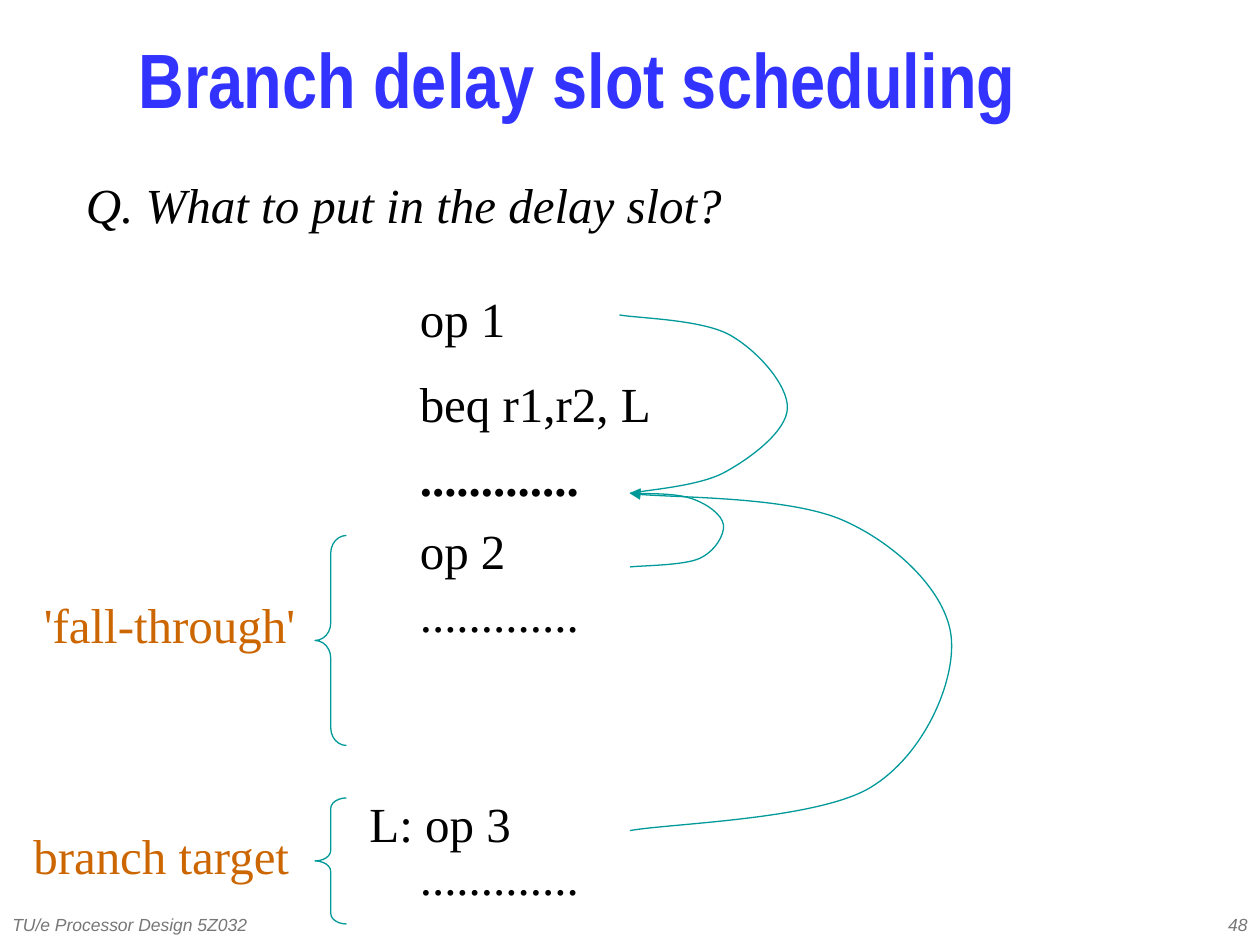
from pptx import Presentation
from pptx.dml.color import RGBColor
from pptx.enum.shapes import MSO_SHAPE
from pptx.enum.text import MSO_ANCHOR, MSO_AUTO_SIZE, PP_ALIGN
from pptx.oxml import parse_xml
from pptx.oxml.ns import nsdecls
from pptx.util import Inches, Pt

CELL = Inches(1) / 12
COLUMNS, ROWS = 120, 90
SERIF = "Times New Roman"
BLUE, BLACK, ORANGE, TEAL, GREY = "3333FF", "010000", "CC6600", "009999", "777777"


def cells(*counts):
    """Turn counts of grid cells into lengths."""
    return [round(count * CELL) for count in counts]


def color(value):
    """Turn a hex string into a colour."""
    return RGBColor.from_string(value)


def write(frame, text, size, name, value, bold=False, italic=False):
    """Add one formatted run to the first paragraph of a frame."""
    para = frame.paragraphs[0]
    span = para.add_run()
    span.text = text
    font = span.font
    font.size, font.name, font.bold, font.italic = Pt(size), name, bold, italic
    font.color.rgb = color(value)
    return para


def label(page, box, text, value=BLACK, bold=False, italic=False):
    """Place one unwrapped line of serif text."""
    frame = page.shapes.add_textbox(*cells(*box)).text_frame
    frame.word_wrap = False
    frame.auto_size = MSO_AUTO_SIZE.SHAPE_TO_FIT_TEXT
    write(frame, text, 28, SERIF, value, bold, italic)


def heading(page, box):
    """Place and format the title placeholder."""
    title = page.shapes.title
    title.left, title.top, title.width, title.height = cells(*box)
    frame = title.text_frame
    frame.auto_size = MSO_AUTO_SIZE.NONE
    frame.vertical_anchor = MSO_ANCHOR.MIDDLE
    para = write(frame, "Branch delay slot scheduling", 44, "Arial Narrow", BLUE, bold=True)
    para.alignment = PP_ALIGN.LEFT
    para.line_spacing = 0.7


def listing(page, box):
    """Place the code lines by their row within the box."""
    left, top, _, _ = box
    dots = "............."
    lines = [
        (0, 0, 10.7, "op 1", False),
        (0, 8.1, 24.5, "beq r1,r2, L", False),
        (0, 15.1, 17.7, dots, True),
        (0, 22.1, 10.7, "op 2", False),
        (0, 28.1, 17.7, dots, False),
        (-4.8, 48.1, 16, "L: op 3", False),
        (0, 53.1, 17.7, dots, False),
    ]
    for indent, row, width, text, bold in lines:
        label(page, (left + indent, top + row, width, 6.8), text, bold=bold)


def outline(shape):
    """Give a shape a thin teal line, no fill and no shadow."""
    shape.shadow.inherit = False
    shape.fill.background()
    shape.line.color.rgb = color(TEAL)
    shape.line.width = Pt(0.75)


def brace(page, box):
    """Draw a left brace whose bends are a twelfth of its height."""
    _, _, width, height = box
    shape = page.shapes.add_shape(MSO_SHAPE.LEFT_BRACE, *cells(*box))
    shape.adjustments[0] = height / 12 / width
    outline(shape)


def spline(points):
    """Return the Bezier points of a smooth curve through all points."""
    padded = [points[0], *points, points[-1]]
    result = []
    for before, start, end, after in zip(padded, padded[1:], padded[2:], padded[3:]):
        result.append([a + (b - c) / 6 for a, b, c in zip(start, end, before)])
        result.append([a - (b - c) / 6 for a, b, c in zip(end, after, start)])
        result.append(end)
    return result


def curve(page, origin, points, arrow):
    """Draw a smooth curve through points given relative to an origin."""
    placed = [(origin[0] + x, origin[1] + y) for x, y in points]
    builder = page.shapes.build_freeform(*cells(*placed[0]))
    builder.add_line_segments([cells(*point) for point in spline(placed)], close=False)
    shape = builder.convert_to_shape()
    outline(shape)
    segments = shape.element.xpath(".//a:lnTo")
    for index in range(0, len(segments), 3):
        bend = parse_xml(f"<a:cubicBezTo {nsdecls('a')}/>")
        segments[index].addprevious(bend)
        for segment in segments[index:index + 3]:
            bend.append(segment[0])
            segment.getparent().remove(segment)
    if arrow:
        line = shape.element.xpath("./p:spPr/a:ln")[0]
        line.append(parse_xml(f'<a:tailEnd {nsdecls("a")} type="triangle"/>'))


def candidates(page, slot):
    """Draw the curves from each candidate operation to the delay slot."""
    curve(page, slot, [(0, 7), (6.6, 6.2), (8.9, 3), (5.9, 0.5), (0, -0.05)], True)
    curve(page, slot, [(0, 32.1), (22.9, 28), (30.6, 13.7), (20.4, 2.6), (0, 0)], True)
    curve(page, slot, [(-1, -17), (9.5, -15.1), (15, -8.1), (9, -2), (0, 0)], False)


def footer(page, box):
    """Place the course name at the left and the page number at the right."""
    left, top, width, height = box
    part = 25
    for x, text, align in (
        (left + width - part, "48", PP_ALIGN.RIGHT),
        (left, "TU/e Processor Design 5Z032", PP_ALIGN.LEFT),
    ):
        frame = page.shapes.add_textbox(*cells(x, top, part, height)).text_frame
        frame.word_wrap = True
        frame.vertical_anchor = MSO_ANCHOR.MIDDLE
        write(frame, text, 10, "Arial", GREY, italic=True).alignment = align


def main():
    """Build the slide and save it."""
    deck = Presentation()
    deck.slide_width, deck.slide_height = cells(COLUMNS, ROWS)
    page = deck.slides.add_slide(deck.slide_layouts[5])
    heading(page, (12, 2, 103, 13))
    listing(page, (38.8, 26.9, 25, 60))
    candidates(page, (60, 47))
    brace(page, (30, 51, 3, 20))
    brace(page, (30, 76, 3, 12))
    label(page, (3, 56, 26.3, 6.8), "'fall-through'", ORANGE)
    label(page, (2, 78, 26.9, 6.8), "branch target", ORANGE)
    label(page, (7, 16, 63.1, 6.8), "Q. What to put in the delay slot?", italic=True)
    footer(page, (0, 86, COLUMNS, 4))
    deck.save("out.pptx")


if __name__ == "__main__":
    main()
